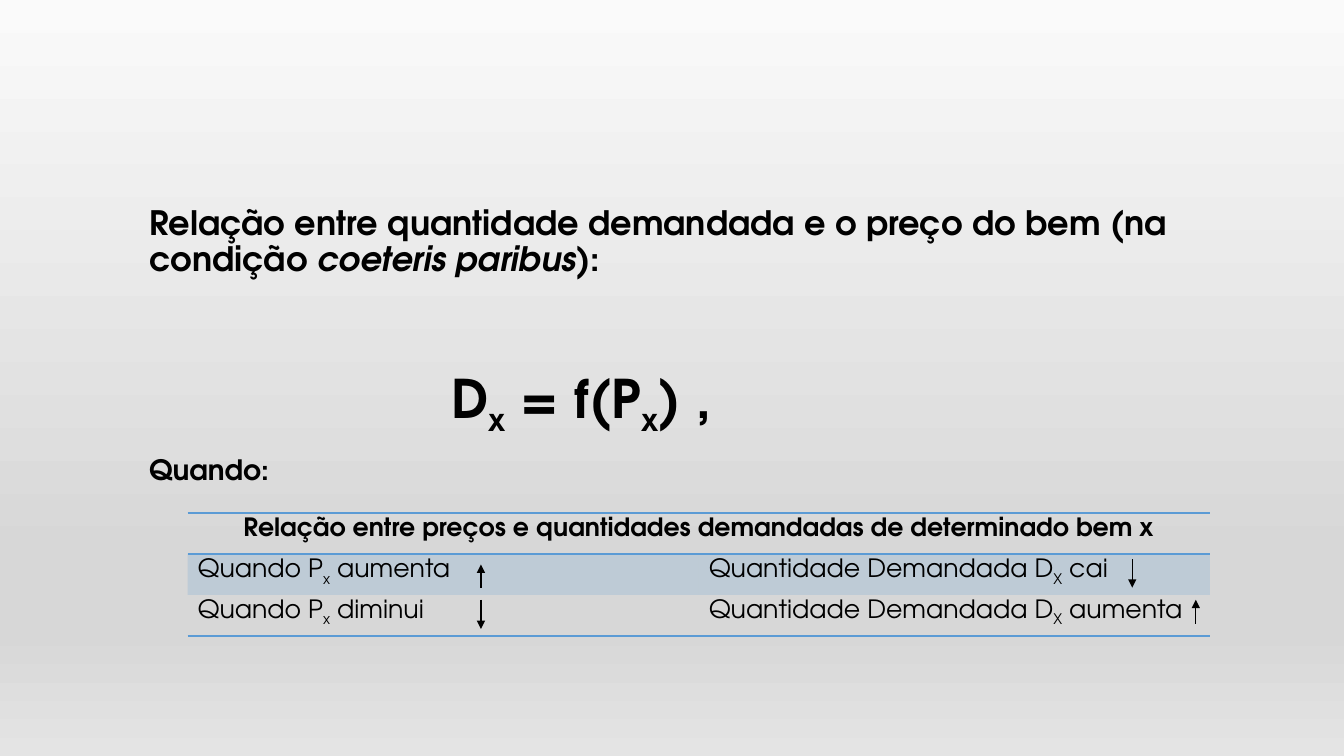
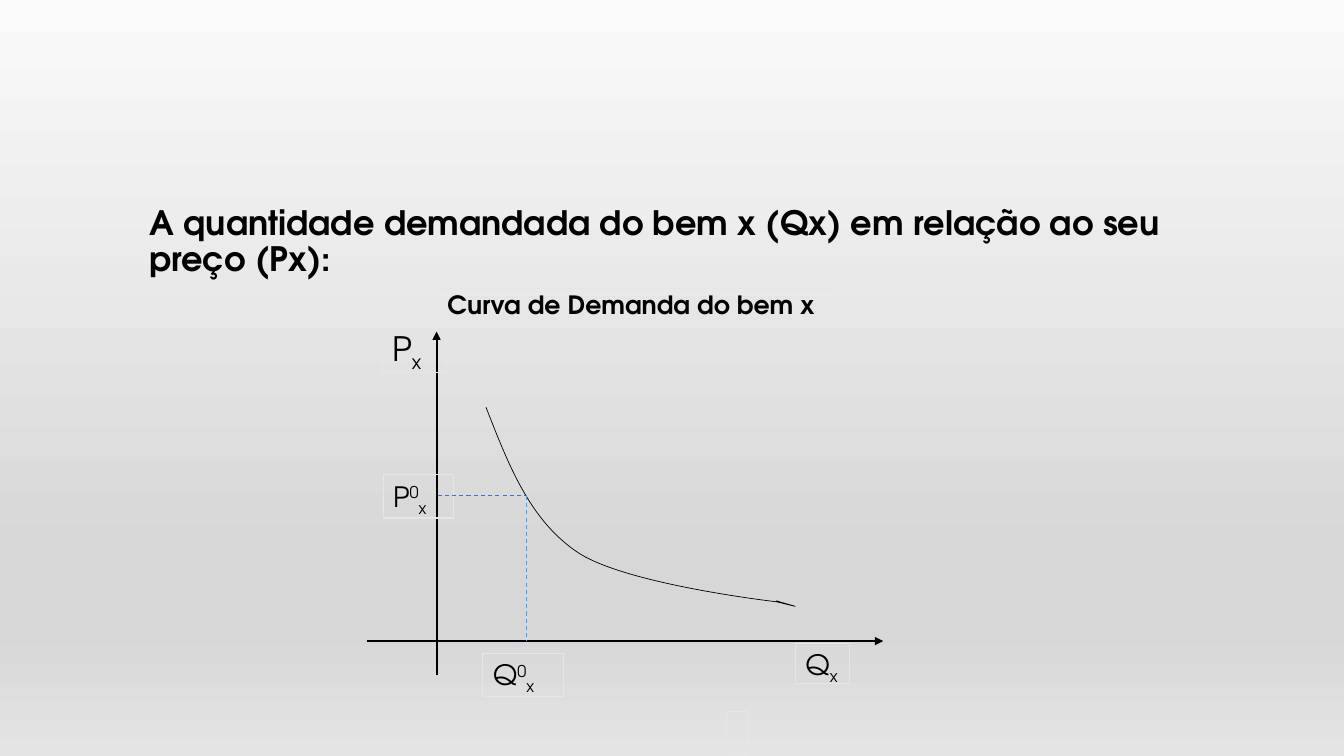
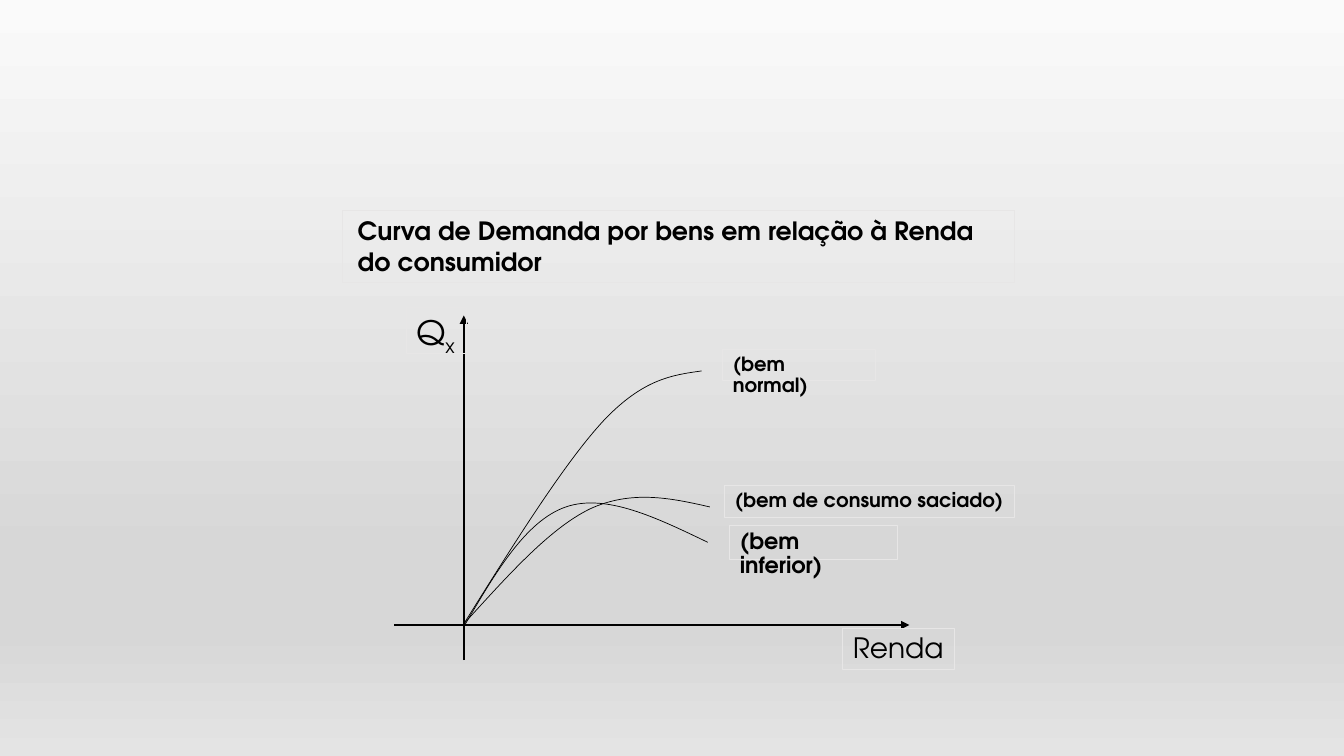
from pptx import Presentation
from pptx.dml.color import RGBColor as Rgb
from pptx.enum.dml import MSO_LINE as Dash
from pptx.enum.shapes import MSO_CONNECTOR as Conn, MSO_SHAPE as Shape
from pptx.enum.text import MSO_ANCHOR as Anchor, PP_ALIGN as Align
from pptx.oxml import parse_xml
from pptx.oxml.ns import nsdecls, qn
from pptx.util import Pt

PX = 9144  # one px is a hundredth of an inch
SIZE = (1333, 750)
FONT = "TeX Gyre Adventor"
INK = {"text": "000000", "edge": "E7E6E6", "blue": "5B9BD5", "royal": "4472C4"}
SKY = [(0, "FAFAFA"), (74, "D7D7D7"), (83, "D7D7D7"), (100, "E4E4E4")]
MARKS = {"_": -25000, "^": 30000}
PLAIN = "{2D5ABB26-0587-4C30-8999-92F81FD0307C}"
BODY = (133, 200, 1067, 475)
LEAD = {"line_spacing": 0.9, "space_before": Pt(18)}


def emu(*vals):
    return [round(v * PX) for v in vals]


def tint(name):
    return Rgb.from_string(INK[name])


def node(tag, inner="", **attrs):
    text = " ".join(f'{k}="{v}"' for k, v in attrs.items())
    return parse_xml(f'<a:{tag} {nsdecls("a")} {text}>{inner}</a:{tag}>')


def color(hex6, inner=""):
    return f'<a:srgbClr val="{hex6}">{inner}</a:srgbClr>'


def paint(master, slide):
    """Draw the grey gradient sheet and move it to the master."""
    sheet = slide.shapes.add_shape(Shape.RECTANGLE, 0, 0, *emu(*SIZE))
    sheet.shadow.inherit = False
    sheet.line.fill.background()
    sheet.fill.gradient()
    sheet.fill.gradient_angle = 270
    stops = sheet.element.find(".//" + qn("a:gsLst"))
    for stop in list(stops):
        stops.remove(stop)
    for pos, hex6 in SKY:
        stops.append(node("gs", color(hex6), pos=pos * 1000))
    master.element.find(".//" + qn("p:spTree")).append(sheet.element)


def write(para, parts, size, bold=False, left=0, **form):
    """Add runs: a leading _ lowers, ^ raises and * slants the part."""
    for key, val in form.items():
        setattr(para, key, val)
    if left:
        para._p.get_or_add_pPr().set("marL", str(left * PX))
    for part in parts:
        mark = part[0] if part[0] in "_^*" else ""
        run = para.add_run()
        run.text = part[len(mark):]
        look = {"name": FONT, "size": Pt(size), "bold": bold}
        if mark == "*":
            look["italic"] = True
        for key, val in look.items():
            setattr(run.font, key, val)
        run.font.color.rgb = tint("text")
        if mark in MARKS:
            run._r.get_or_add_rPr().set("baseline", str(MARKS[mark]))


def body(slide, paras):
    frame = slide.shapes.add_textbox(*emu(*BODY)).text_frame
    frame.word_wrap = True
    for i, (parts, size, form) in enumerate(paras):
        para = frame.add_paragraph() if i else frame.paragraphs[0]
        write(para, parts, size, True, **{**LEAD, "left": 5, **form})


def label(slide, at, parts=(), size=18, bold=False, right=0, **form):
    box = slide.shapes.add_shape(Shape.RECTANGLE, *emu(*at))
    box.shadow.inherit = False
    box.fill.background()
    box.line.color.rgb = tint("edge")
    box.line.width = Pt(0.75)
    frame = box.text_frame
    frame.word_wrap = True
    frame.vertical_anchor = Anchor.TOP
    frame.margin_right = right * PX
    form = {"alignment": Align.LEFT, "line_spacing": 0.9, **form}
    write(frame.paragraphs[0], parts, size, bold, **form)


def line(slide, ends, width=1.5, ink="text", dash=False):
    """Draw an arrow, or a dashed guide without a head."""
    bar = slide.shapes.add_connector(Conn.STRAIGHT, *emu(*ends))
    bar.line.color.rgb = tint(ink)
    bar.line.width = Pt(width)
    props = bar.element.spPr
    if dash:
        bar.line.dash_style = Dash.DASH
    else:
        props.get_or_add_ln().append(node("tailEnd", type="triangle"))
    props.append(node("effectLst"))


def curve(slide, start, *bends):
    """Draw joined cubic bends, each given by two controls and an end."""
    pen = slide.shapes.build_freeform(*emu(*start), scale=1.0)
    pen.add_line_segments([emu(*dot) for bend in bends for dot in bend],
                          close=False)
    path = pen.convert_to_shape()
    steps = path.element.findall(".//" + qn("a:lnTo"))
    for i in range(0, len(steps), 3):
        bend = node("cubicBezTo")
        steps[i].addprevious(bend)
        for step in steps[i:i + 3]:
            bend.append(step[0])
            step.getparent().remove(step)
    path.shadow.inherit = False
    path.fill.background()
    path.line.color.rgb = tint("text")
    path.line.width = Pt(0.5)


def rule(cell, *sides):
    """Put blue borders on the named sides, T or B."""
    props = cell._tc.get_or_add_tcPr()
    for i, side in enumerate(sides):
        fill = f'<a:solidFill>{color(INK["blue"])}</a:solidFill>'
        props.insert(i, node("ln" + side, fill, w=12700))


def table(slide, at, head, rows):
    frame = slide.shapes.add_table(len(rows) + 1, 2, *emu(*at))
    frame.element.find(".//" + qn("a:tableStyleId")).text = PLAIN
    grid = frame.table
    grid.first_row = grid.horz_banding = False
    for cell in grid.iter_cells():
        cell.fill.background()
        cell.margin_bottom = 0
    top = grid.cell(0, 0)
    top.merge(grid.cell(0, 1))
    write(top.text_frame.paragraphs[0], [head], 18, True,
          alignment=Align.CENTER)
    for c in range(2):
        rule(grid.cell(0, c), "T", "B")
        rule(grid.cell(len(rows), c), "B")
        for r, row in enumerate(rows, 1):
            cell = grid.cell(r, c)
            write(cell.text_frame.paragraphs[0], row[c], 18)
            if r % 2:
                cell.fill.solid()
                cell.fill.fore_color.rgb = tint("blue")
                shade = cell._tc.tcPr.find(".//" + qn("a:srgbClr"))
                shade.append(node("alpha", val=20000))


def law(slide):
    body(slide, [
        (["Relação entre quantidade demandada e o preço do bem (na condição ",
          "*coeteris paribus", "):"], 24, {}),
        (["D", "_x", " = f(P", "_x", ") ,"], 38,
         {"left": 305, "space_before": Pt(62)}),
        (["Quando:"], 20, {}),
    ])
    need = ["Quantidade Demandada D", "_X"]
    table(slide, (186, 509, 1014, 122),
          "Relação entre preços e quantidades demandadas de determinado bem x",
          [(["Quando P", "_x", " aumenta"], need + [" cai"]),
           (["Quando P", "_x", " diminui"], need + [" aumenta"])])
    for x, y, end in ((477, 583, 560), (1186, 619, 595),
                      (1123, 555, 583), (477, 595, 624)):
        line(slide, (x, y, x, end), 1)


def price(slide):
    body(slide, [(["A quantidade demandada do bem x (Qx) em relação ao seu "
                   "preço (Px):"], 24, {})])
    line(slide, (433, 670, 433, 329))
    line(slide, (364, 636, 876, 636))
    curve(slide, (482, 404),
          ((504, 460), (525, 516), (573, 548)),
          ((621, 580), (770, 597), (770, 597)),
          ((803, 605), (786, 601), (770, 596)))
    label(slide, (379, 321, 64, 49), ["P", "_x"], 24)
    label(slide, (789, 638, 54, 40), ["Q", "_x"], 20)
    label(slide, (380, 471, 70, 43), ["P", "^0", "_x"], 20)
    line(slide, (434, 492, 521, 492), 0.75, "royal", True)
    line(slide, (522, 492, 522, 636), 0.75, "blue", True)
    label(slide, (479, 648, 80, 43), ["Q", "^0", "_x"], 20)
    label(slide, (434, 286, 397, 37), ["Curva de Demanda do bem x"], bold=True)
    label(slide, (721, 706, 20, 44))


def income(slide):
    line(slide, (460, 655, 460, 313))
    line(slide, (391, 620, 902, 620))
    label(slide, (403, 305, 60, 46), ["Q", "_x"], 24)
    label(slide, (836, 624, 111, 40), ["Renda"], 20)
    curve(slide, (460, 619), ((510, 539), (560, 459), (599, 417)),
          ((638, 376), (667, 372), (696, 368)))
    curve(slide, (459, 620), ((502, 573), (544, 525), (585, 505)),
          ((626, 486), (665, 494), (704, 503)))
    curve(slide, (461, 620), ((491, 569), (521, 517), (561, 503)),
          ((601, 489), (652, 514), (702, 538)))
    for at, name, size, right in (
            ((717, 347, 151, 31), "(bem normal)", 14, 40),
            ((719, 482, 287, 31), "(bem de consumo saciado)", 14, 0),
            ((724, 521, 166, 34), "(bem inferior)", 16, 40)):
        label(slide, at, [name], size, True, right)
    label(slide, (340, 209, 666, 71),
          ["Curva de Demanda por bens em relação à Renda do consumidor"],
          bold=True, right=10, left=5, line_spacing=1.0)


def main():
    deck = Presentation()
    deck.slide_width, deck.slide_height = emu(*SIZE)
    for i, draw in enumerate((law, price, income)):
        slide = deck.slides.add_slide(deck.slide_layouts[6])
        if i == 0:
            paint(deck.slide_master, slide)
        draw(slide)
    deck.save("out.pptx")


if __name__ == "__main__":
    main()
